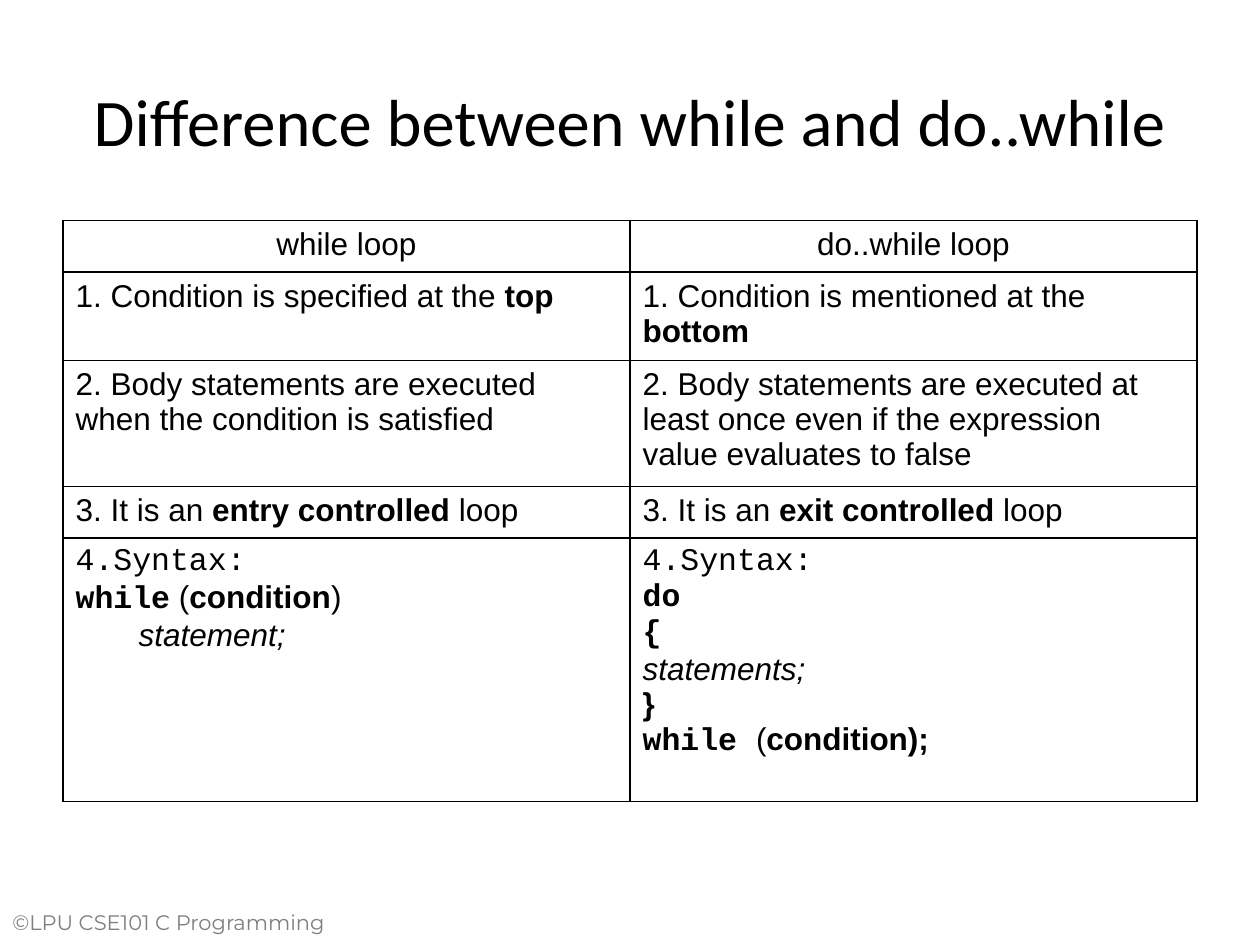
from lxml import etree
from pptx import Presentation
from pptx import util as u
from pptx.dml.color import RGBColor
from pptx.enum import text
from pptx.oxml.ns import qn

COLORS = {"ink": "000000", "muted": "7F7F7F"}
WIDTH, HEIGHT = 10, 7.5


class Deck:
    """Style and current slide; lengths are shares of the slide's size."""
    body, code, heading, footer = "Arial", "Courier New", "Calibri", "Montserrat"
    size = 18

    def __init__(self):
        self.prs = Presentation()
        self.prs.slide_width, self.prs.slide_height = u.Inches(WIDTH), u.Inches(HEIGHT)
        self.s = self.prs.slides.add_slide(self.prs.slide_layouts[6])

    def box(self, x, y, w, h):
        pw, ph = self.prs.slide_width, self.prs.slide_height
        return int(x * pw), int(y * ph), int(w * pw), int(h * ph)

    def run(self, p, words, font, size, color="ink", style=""):
        r = p.add_run()
        r.text = words
        r.font.name, r.font.size = font, u.Pt(size)
        r.font.color.rgb = RGBColor.from_string(COLORS[color])
        r.font.bold, r.font.italic = "b" in style, "i" in style

    def label(self, place, words, font, size, color="ink", align=None, anchor=None):
        tf = self.s.shapes.add_textbox(*self.box(*place)).text_frame
        tf.word_wrap = True
        tf.vertical_anchor = anchor
        tf.paragraphs[0].alignment = align
        self.run(tf.paragraphs[0], words, font, size, color)

    def border(self, cell):
        pr = cell._tc.get_or_add_tcPr()
        for i, side in enumerate(("a:lnL", "a:lnR", "a:lnT", "a:lnB")):
            ln = etree.Element(qn(side), w=str(u.Pt(1)))
            fill = etree.SubElement(ln, qn("a:solidFill"))
            etree.SubElement(fill, qn("a:srgbClr"), val=COLORS["ink"])
            pr.insert(i, ln)

    def fill_cell(self, cell, paragraphs, align):
        """Runs are (words, style): b bold, i italic, c code; None breaks the line."""
        cell.fill.background()
        self.border(cell)
        tf = cell.text_frame
        for i, runs in enumerate(paragraphs):
            p = tf.add_paragraph() if i else tf.paragraphs[0]
            p.alignment = align
            for words, style in runs:
                if words is None:
                    p.add_line_break()
                else:
                    font = self.code if "c" in style else self.body
                    self.run(p, words, font, self.size, style=style)

    def table(self, place, heights, rows):
        frame = self.s.shapes.add_table(len(rows), len(rows[0]), *self.box(*place))
        table = frame.table
        table.first_row = table.horz_banding = False
        for i, (height, row) in enumerate(zip(heights, rows)):
            table.rows[i].height = u.Inches(height)
            align = text.PP_ALIGN.LEFT if i else text.PP_ALIGN.CENTER
            for j, paragraphs in enumerate(row):
                self.fill_cell(table.cell(i, j), paragraphs, align)


def plain(words):
    return [[(words, "")]]


SYNTAX = [("4.Syntax:", "c")]
BREAK = (None, "")
WHILE_SYNTAX = [
    SYNTAX,
    [("while", "cb"), (" (", ""), ("condition", "b"), (")", "")],
    [("\t", ""), ("statement;", "i")],
]
DO_SYNTAX = [
    SYNTAX,
    [("do", "cb")],
    [("{", "cb"), BREAK, ("statements;", "i")],
    [("}", "b"), BREAK, ("while ", "cb"), ("(", ""), ("condition);", "b")],
]
ROWS = [
    (plain("while loop"), plain("do..while loop")),
    ([[("1. Condition is specified at the ", ""), ("top", "b")]],
     [[("1. Condition is mentioned at the ", ""), ("bottom", "b")]]),
    (plain("2. Body statements are executed when the condition is satisfied"),
     plain("2. Body statements are executed at least once even if the "
           "expression value evaluates to false")),
    ([[("3. It is an ", ""), ("entry controlled ", "b"), ("loop", "")]],
     [[("3. It is an ", ""), ("exit controlled", "b"), (" loop", "")]]),
    (WHILE_SYNTAX, DO_SYNTAX),
]
ROW_HEIGHTS = [0.41, 0.66, 0.94, 0.41, 2.09]


def main():
    deck = Deck()
    # Footer
    deck.label((0, 7.17 / HEIGHT, 0.3, 0.42 / HEIGHT), "©LPU CSE101 C Programming",
               deck.footer, 12, "muted")
    # Title
    deck.label((0.05, 0.33 / HEIGHT, 0.9, 1.25 / HEIGHT),
               "Difference between while and do..while", deck.heading, 38,
               align=text.PP_ALIGN.CENTER, anchor=text.MSO_ANCHOR.MIDDLE)
    # Comparison table
    deck.table((0.05, 1.75 / HEIGHT, 0.9, sum(ROW_HEIGHTS) / HEIGHT), ROW_HEIGHTS, ROWS)
    deck.prs.save("out.pptx")


if __name__ == "__main__":
    main()
